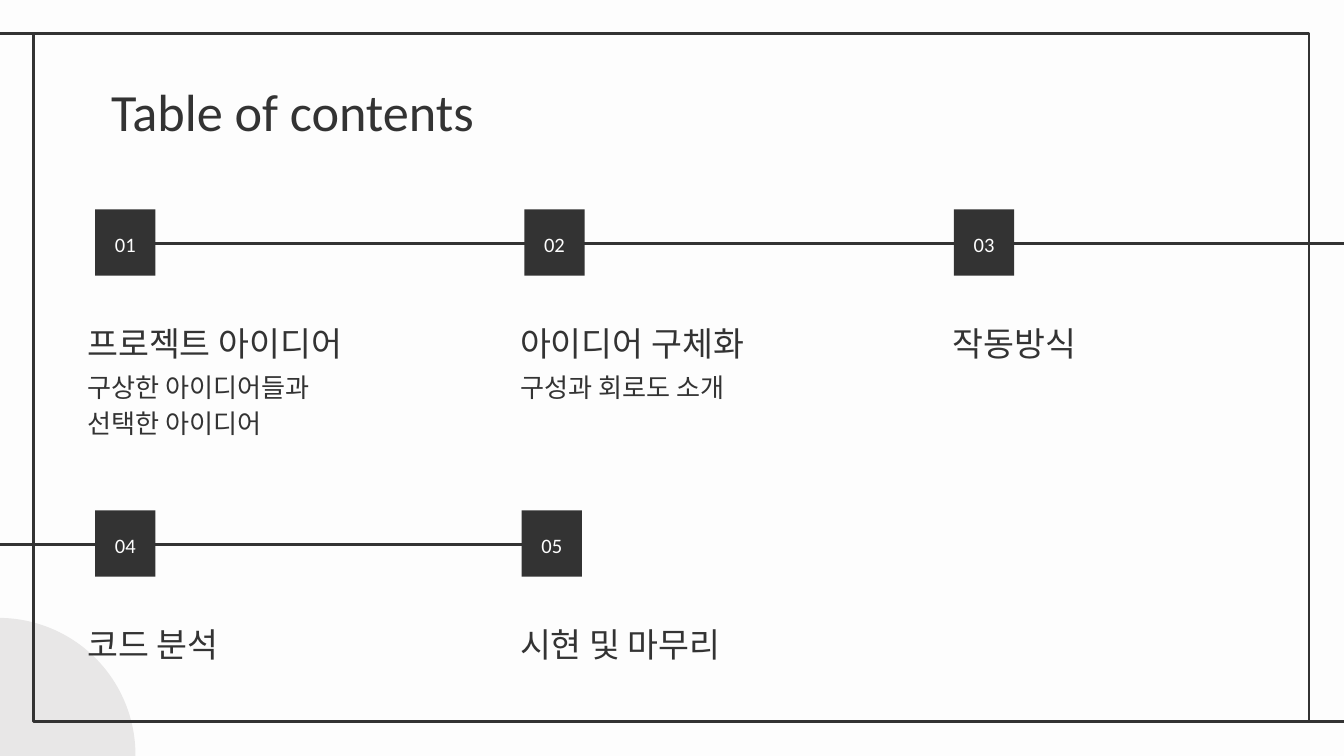
from pptx import Presentation
from pptx.dml.color import RGBColor
from pptx.enum.shapes import MSO_CONNECTOR, MSO_SHAPE
from pptx.enum.text import MSO_ANCHOR as Anchor, MSO_AUTO_SIZE as AutoSize, PP_ALIGN as Align
from pptx.oxml.ns import qn
from pptx.util import Cm, Pt
from lxml.etree import SubElement

DARK = "333333"
LIGHT = "FDFDFD"
GREY = "E8E7E7"
WIDTH, HEIGHT = 25.4, 14.29


def color(value):
    return RGBColor.from_string(value)


class ContentsSlide:
    heading_font = "Calibri"
    body_font = "Lato"
    line_width = Pt(1.5)

    def __init__(self, presentation):
        self.slide = presentation.slides.add_slide(presentation.slide_layouts[5])
        fill = self.slide.background.fill
        fill.solid()
        fill.fore_color.rgb = color(LIGHT)

    def shape(self, kind, left, top, width, height, fill=None, line=None):
        shape = self.slide.shapes.add_shape(kind, Cm(left), Cm(top), Cm(width), Cm(height))
        shape.shadow.inherit = False
        if fill:
            shape.fill.solid()
            shape.fill.fore_color.rgb = color(fill)
        else:
            shape.fill.background()
        if line:
            shape.line.color.rgb = color(line)
            shape.line.width = self.line_width
        else:
            shape.line.fill.background()
        return shape

    def line(self, start, end, y):
        connector = self.slide.shapes.add_connector(
            MSO_CONNECTOR.STRAIGHT, Cm(start), Cm(y), Cm(end), Cm(y))
        connector.line.color.rgb = color(DARK)
        connector.line.width = self.line_width
        SubElement(connector._element.spPr, qn("a:effectLst"))

    def set_text(self, shape, lines, size, font, ink=DARK, anchor=Anchor.TOP,
                 align=Align.LEFT, spacing=1.15):
        frame = shape.text_frame
        frame.word_wrap = True
        frame.auto_size = AutoSize.NONE
        frame.vertical_anchor = anchor
        frame.margin_left = frame.margin_right = Cm(0.25)
        frame.margin_top = frame.margin_bottom = Cm(0.25)
        frame.text = "\n".join(lines)
        for paragraph in frame.paragraphs:
            paragraph.alignment = align
            paragraph.line_spacing = spacing
            paragraph.space_before = Pt(0)
            paragraph.font.size = Pt(size)
            paragraph.font.name = font
            paragraph.font.color.rgb = color(ink)

    def title(self, text, left, top, width, height):
        title = self.slide.shapes.title
        title.left, title.top = Cm(left), Cm(top)
        title.width, title.height = Cm(width), Cm(height)
        self.set_text(title, [text], 28, self.heading_font, spacing=1.0)

    def text(self, lines, left, top, width, height, size, font, anchor=Anchor.TOP):
        box = self.slide.shapes.add_textbox(Cm(left), Cm(top), Cm(width), Cm(height))
        self.set_text(box, lines, size, font, anchor=anchor)

    def badge(self, number, left, top):
        badge = self.shape(MSO_SHAPE.RECTANGLE, left, top, 1.14, 1.25, fill=DARK)
        self.set_text(badge, [number], 11, self.heading_font, LIGHT, Anchor.MIDDLE, Align.CENTER)

    def entry(self, number, badge_left, text_left, top, heading, details):
        self.badge(number, badge_left, top)
        self.text([heading], text_left, top + 1.83, 7.19, 1.32, 18,
                  self.heading_font, Anchor.BOTTOM)
        if details:
            self.text(details, text_left, top + 2.72, 7.19, 1.96, 14, self.body_font)


def main():
    presentation = Presentation()
    presentation.slide_width = Cm(WIDTH)
    presentation.slide_height = Cm(HEIGHT)
    contents = ContentsSlide(presentation)

    contents.shape(MSO_SHAPE.OVAL, -2.62, 11.68, 5.18, 5.18, fill=GREY)
    contents.shape(MSO_SHAPE.RECTANGLE, 0.64, 0.64, 24.1, 13, line=DARK)
    contents.line(0, 0.64, 0.64)
    contents.line(24.74, WIDTH, 13.64)
    contents.line(0, 11, 10.29)
    contents.line(2.92, WIDTH, 4.6)
    contents.title("Table of contents", 1.85, 1.24, 21.41, 1.6)

    row_tops = [3.96, 9.65]
    badge_lefts = [[1.8, 9.91, 18.03], [1.8, 9.86]]
    entries = [
        ("프로젝트 아이디어", ["구상한 아이디어들과", "선택한 아이디어"]),
        ("아이디어 구체화", ["구성과 회로도 소개"]),
        ("작동방식", []),
        ("코드 분석", []),
        ("시현 및 마무리", []),
    ]
    for index, (heading, details) in enumerate(entries):
        row, column = divmod(index, 3)
        contents.entry(f"{index + 1:02d}", badge_lefts[row][column], 1.4 + 8.18 * column,
                       row_tops[row], heading, details)

    presentation.save("out.pptx")


if __name__ == "__main__":
    main()
